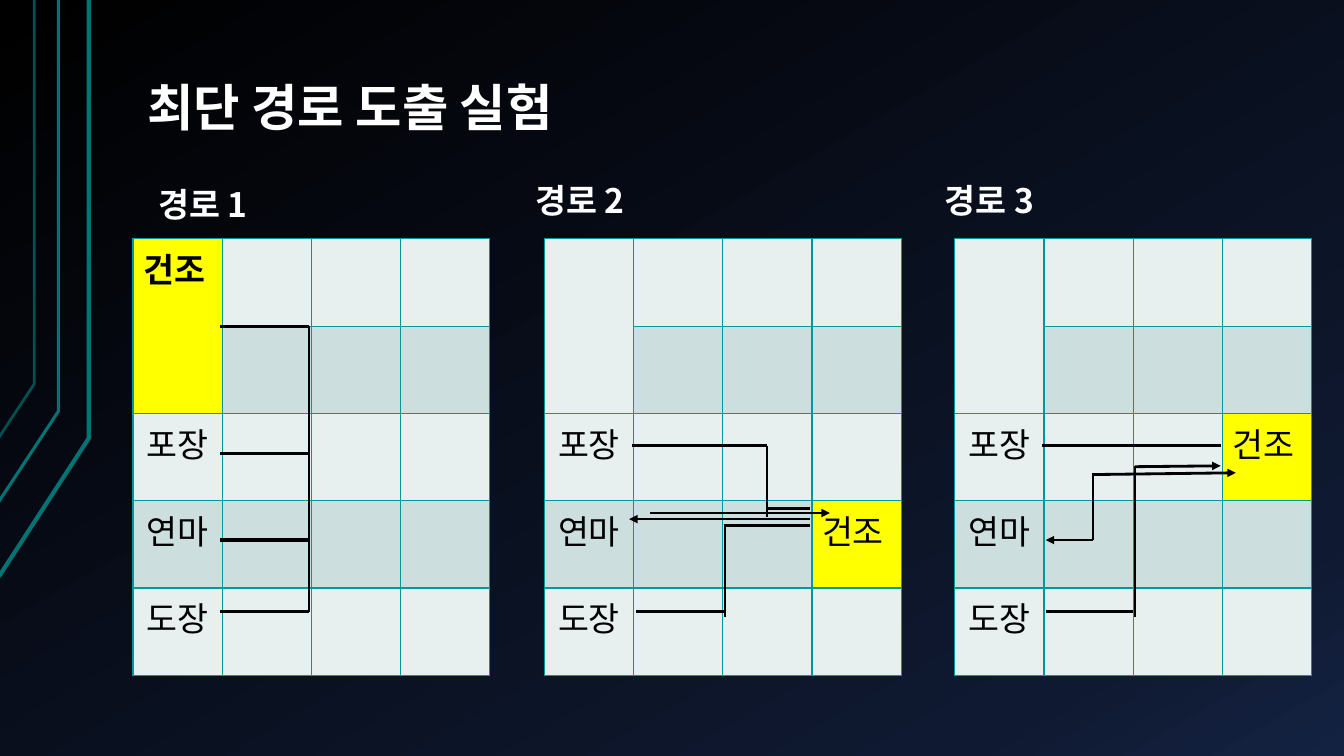
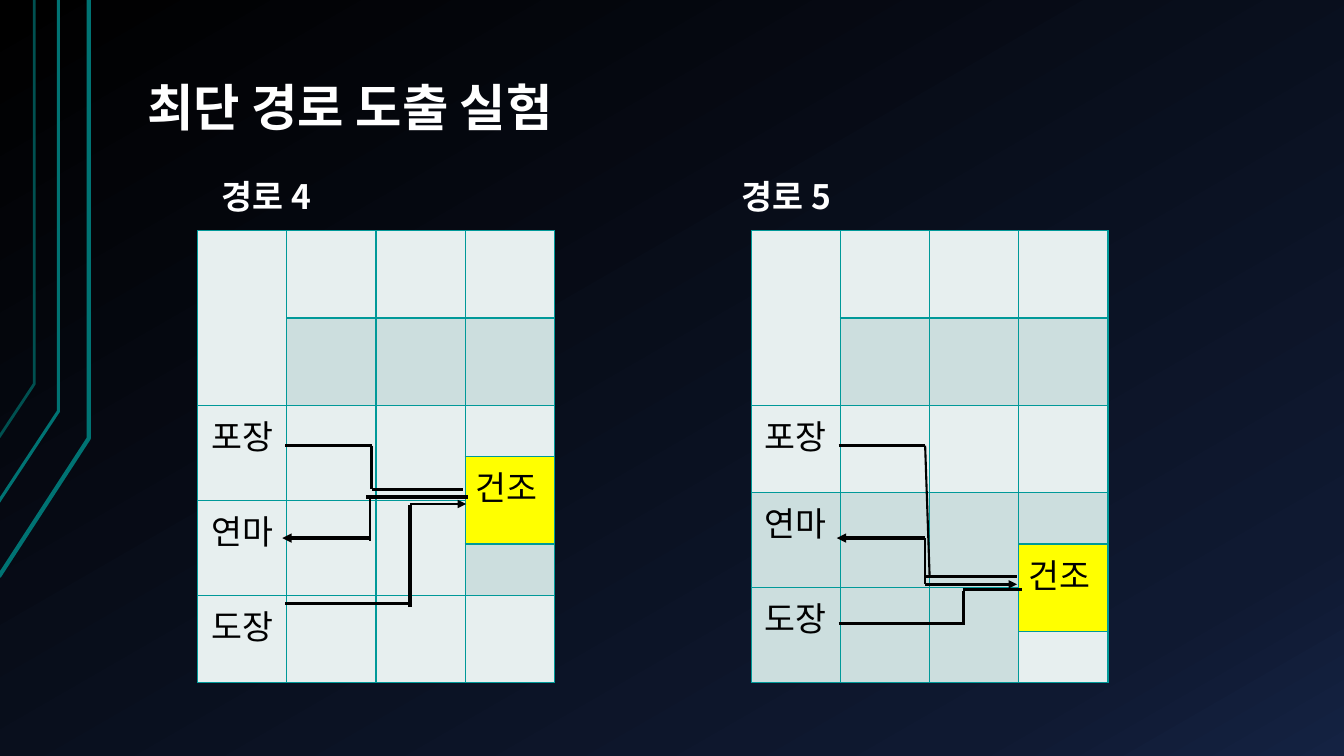
from copy import deepcopy

from lxml.etree import SubElement
from pptx import Presentation
from pptx.dml.color import RGBColor
from pptx.enum.shapes import MSO_CONNECTOR
from pptx.enum.text import MSO_ANCHOR, PP_ALIGN
from pptx.oxml.ns import qn
from pptx.util import Inches, Pt

WIDTH, HEIGHT = Inches(13.33), Inches(7.5)
COLUMN, ROW = Inches(3.54 / 4), Inches(4.33 / 5)
HANGUL, LATIN = "Noto Sans CJK KR", "Calibri"
WHITE, BLACK, TEAL = "FFFFFF", "000000", "009999"
FILLS = {"L": "E7EFEF", "D": "CCDEDE", "Y": "FFFF00"}
BACKDROP = [(0, "000000"), (0.85, "0F1931"), (1, "142242")]
ACCENTS = [
    ([(-0.08, 76.27), (6.6, 58), (6.6, 0)], "007373", 3),
    ([(-0.15, 66.53), (4.35, 54.4), (4.35, 0)], "007373", 2.25),
    ([(-0.08, 57.87), (2.55, 50.8), (2.55, 0)], "005050", 2),
]

# Strokes: weight in points, arrowhead at the end
FLAT, DROP = (2.25, False), (1.5, False)
ARROW, BOLD_ARROW = (2, True), (2.25, True)

TITLE = "최단 경로 도출 실험"
STATIONS = ["포장", "연마", "도장"]
DRYER = "건조"


def rgb(value):
    return RGBColor.from_string(value)


def at(x, y):
    """Turn percent of the slide's width and height into lengths."""
    return round(WIDTH * x / 100), round(HEIGHT * y / 100)


class Deck:
    def __init__(self):
        self.show = Presentation()
        self.show.slide_width, self.show.slide_height = WIDTH, HEIGHT
        self.slide = None
        self.set_backdrop()

    def set_backdrop(self):
        master = self.show.slide_master
        fill = master.background.fill
        fill.gradient()
        fill.gradient_angle = 300
        stops = master.element.find(".//" + qn("a:gsLst"))
        stops.append(deepcopy(stops[-1]))
        for stop, (position, color) in zip(fill.gradient_stops, BACKDROP):
            stop.position = position
            stop.color.rgb = rgb(color)

    def new_slide(self, title):
        self.slide = self.show.slides.add_slide(self.show.slide_layouts[6])
        for accent in ACCENTS:
            self.accent(*accent)
        frame = self.text(title, (9.98, 1.2), (85, 17.87), 36)
        frame.vertical_anchor = MSO_ANCHOR.BOTTOM
        frame.margin_left = frame.margin_right = Inches(0.13)
        frame.margin_top = frame.margin_bottom = Inches(0.07)
        frame.paragraphs[0].line_spacing = 0.9

    def accent(self, points, color, weight):
        start, *rest = [at(*point) for point in points]
        builder = self.slide.shapes.build_freeform(*start)
        builder.add_line_segments(rest, close=False)
        outline = builder.convert_to_shape()
        outline.shadow.inherit = False
        outline.fill.background()
        outline.line.color.rgb = rgb(color)
        outline.line.width = Pt(weight)

    def set_text(self, paragraph, text, size, font, color, bold):
        paragraph.text = text
        paragraph.font.size = Pt(size)
        paragraph.font.name = font
        paragraph.font.bold = bold
        paragraph.font.color.rgb = rgb(color)
        defaults = paragraph._p.pPr.find(qn("a:defRPr"))
        SubElement(defaults, qn("a:ea"), typeface=HANGUL)

    def text(self, text, position, size, points):
        box = self.slide.shapes.add_textbox(*at(*position), *at(*size))
        frame = box.text_frame
        frame.word_wrap = True
        self.set_text(frame.paragraphs[0], text, points, HANGUL, WHITE, True)
        return frame

    def floor_plan(self, origin, pattern, heights, bold_dryer):
        """Draw a plan; each pattern letter is a fill, ^ joins the cell above."""
        frame = self.slide.shapes.add_table(
            len(pattern), 4, *at(*origin), 4 * COLUMN, round(sum(heights) * ROW))
        plan = frame.table
        plan.first_row = plan.horz_banding = False
        for column in plan.columns:
            column.width = COLUMN
        for row, height in zip(plan.rows, heights):
            row.height = round(height * ROW)
        stations = iter(STATIONS)
        for r, letters in enumerate(pattern):
            for c, letter in enumerate(letters):
                cell = plan.cell(r, c)
                joined = letter == "^"
                self.paint(cell, FILLS[pattern[r - 1][c] if joined else letter])
                if joined:
                    plan.cell(r - 1, c).merge(cell)
                    continue
                paragraph = cell.text_frame.paragraphs[0]
                if letter == "Y":
                    self.set_text(paragraph, DRYER, 24, LATIN, BLACK, bold_dryer)
                elif c == 0 and r > 1:
                    self.set_text(paragraph, next(stations), 24, LATIN, BLACK, False)
                    paragraph.alignment = PP_ALIGN.CENTER

    def paint(self, cell, color):
        properties = cell._tc.get_or_add_tcPr()
        for side in ("a:lnL", "a:lnR", "a:lnT", "a:lnB"):
            border = SubElement(properties, qn(side), w=str(Pt(1)))
            solid = SubElement(border, qn("a:solidFill"))
            SubElement(solid, qn("a:srgbClr"), val=TEAL)
        cell.fill.solid()
        cell.fill.fore_color.rgb = rgb(color)

    def move(self, origin, start, end, stroke):
        """Draw one leg of a route, in columns and rows of its plan."""
        left, top = at(*origin)
        ends = [round(length) for x, y in (start, end)
                for length in (left + x * COLUMN, top + y * ROW)]
        leg = self.slide.shapes.add_connector(MSO_CONNECTOR.STRAIGHT, *ends)
        weight, has_head = stroke
        leg.line.color.rgb = rgb(BLACK)
        leg.line.width = Pt(weight)
        properties = leg._element.spPr
        if has_head:
            SubElement(properties.find(qn("a:ln")), qn("a:tailEnd"), type="triangle")
        SubElement(properties, qn("a:effectLst"))

    def route(self, name, name_at, origin, pattern, legs,
              heights=(1,) * 5, bold_dryer=False):
        self.floor_plan(origin, pattern.split(), heights, bold_dryer)
        self.text(name, name_at, (29.55, 12.13), 24)
        for leg in legs:
            self.move(origin, *leg)


ROUTE_1 = [((0.98, y), (1.97, y), FLAT) for y in (1, 2.46, 3.45, 4.27)] + [
    ((1.97, 1), (1.97, 4.27), DROP),
]
ROUTE_2 = [
    ((1.03, 4.27), (2.01, 4.27), FLAT),
    ((0.98, 2.37), (2.5, 2.37), FLAT),
    ((1.19, 3.14), (3.2, 3.14), ARROW),
    ((2.98, 3.21), (0.95, 3.21), ARROW),
    ((2.03, 3.28), (2.03, 4.33), DROP),
    ((2.01, 3.28), (2.98, 3.28), FLAT),
    ((2.5, 2.37), (2.5, 3.19), DROP),
    ((2.5, 3.09), (2.98, 3.09), FLAT),
]
ROUTE_3 = [
    ((1.02, 4.27), (2, 4.27), FLAT),
    ((0.98, 2.37), (2.98, 2.37), FLAT),
    ((2.02, 2.61), (2.98, 2.6), ARROW),
    ((1.55, 3.45), (1.02, 3.45), ARROW),
    ((2.02, 2.6), (2.02, 4.33), DROP),
    ((1.55, 2.68), (1.55, 3.45), DROP),
    ((1.55, 2.7), (3.15, 2.68), ARROW),
]
ROUTE_4 = [
    ((2.38, 4.31), (2.38, 3.14), FLAT),
    ((0.98, 4.27), (2.38, 4.27), FLAT),
    ((1.95, 2.96), (2.98, 2.96), FLAT),
    ((0.98, 2.46), (1.95, 2.46), FLAT),
    ((2.38, 3.13), (3.01, 3.13), ARROW),
    ((1.95, 2.46), (1.95, 2.96), DROP),
    ((1.89, 3.05), (3.03, 3.05), FLAT),
    ((1.93, 3.52), (0.95, 3.52), BOLD_ARROW),
    ((1.93, 3.05), (1.93, 3.55), DROP),
]
ROUTE_5 = [
    ((2.38, 4.13), (2.38, 4.52), FLAT),
    ((0.98, 4.5), (2.38, 4.5), FLAT),
    ((1.95, 3.96), (2.98, 3.96), FLAT),
    ((0.98, 2.46), (1.95, 2.46), FLAT),
    ((1.95, 4.05), (2.98, 4.05), ARROW),
    ((1.95, 2.46), (2, 3.96), DROP),
    ((2.37, 4.11), (3.03, 4.11), FLAT),
    ((1.95, 3.52), (0.96, 3.52), BOLD_ARROW),
    ((1.95, 3.52), (1.95, 4.05), DROP),
]


def main():
    deck = Deck()

    deck.new_slide(TITLE)
    deck.route("경로 1", (11.03, 23.73), (9.9, 31.6),
               "YLLL ^DDD LLLL DDDD LLLL", ROUTE_1, bold_dryer=True)
    deck.route("경로 2", (39.08, 23.2), (40.5, 31.6),
               "LLLL ^DDD LLLL DDDY LLLL", ROUTE_2)
    deck.route("경로 3", (69.54, 23.2), (71.04, 31.6),
               "LLLL ^DDD LLLY DDDD LLLL", ROUTE_3)

    deck.new_slide(TITLE)
    deck.route("경로 4", (15.75, 22.67), (14.7, 30.53),
               "LLLL ^DDD LLLL ^^^Y LLL^ ^^^D LLLL", ROUTE_4,
               heights=(1, 1, 0.59, 0.5, 0.5, 0.59, 1))
    deck.route("경로 5", (54.46, 22.67), (55.89, 30.53),
               "LLLL ^DDD LLLL DDDD ^^^Y DDD^ ^^^L", ROUTE_5,
               heights=(1, 1, 1, 0.59, 0.5, 0.5, 0.59))

    deck.show.save("out.pptx")


if __name__ == "__main__":
    main()
